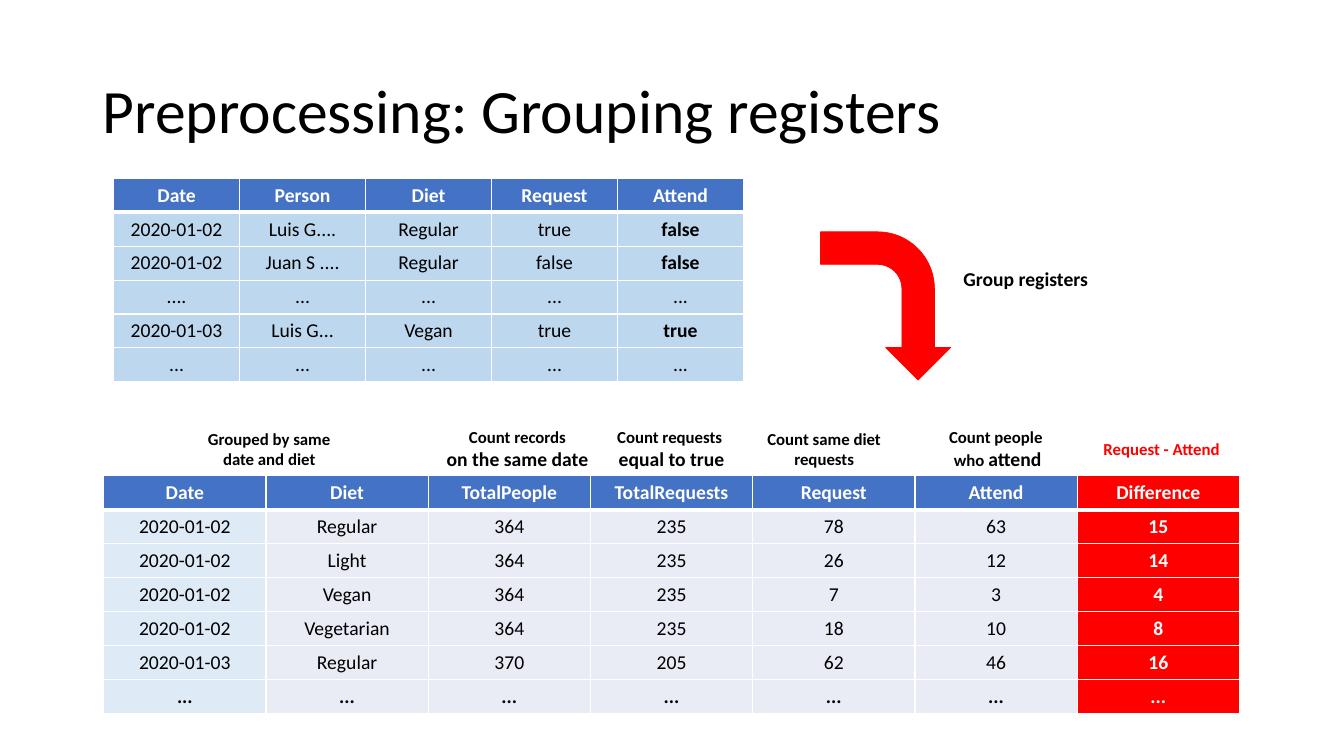
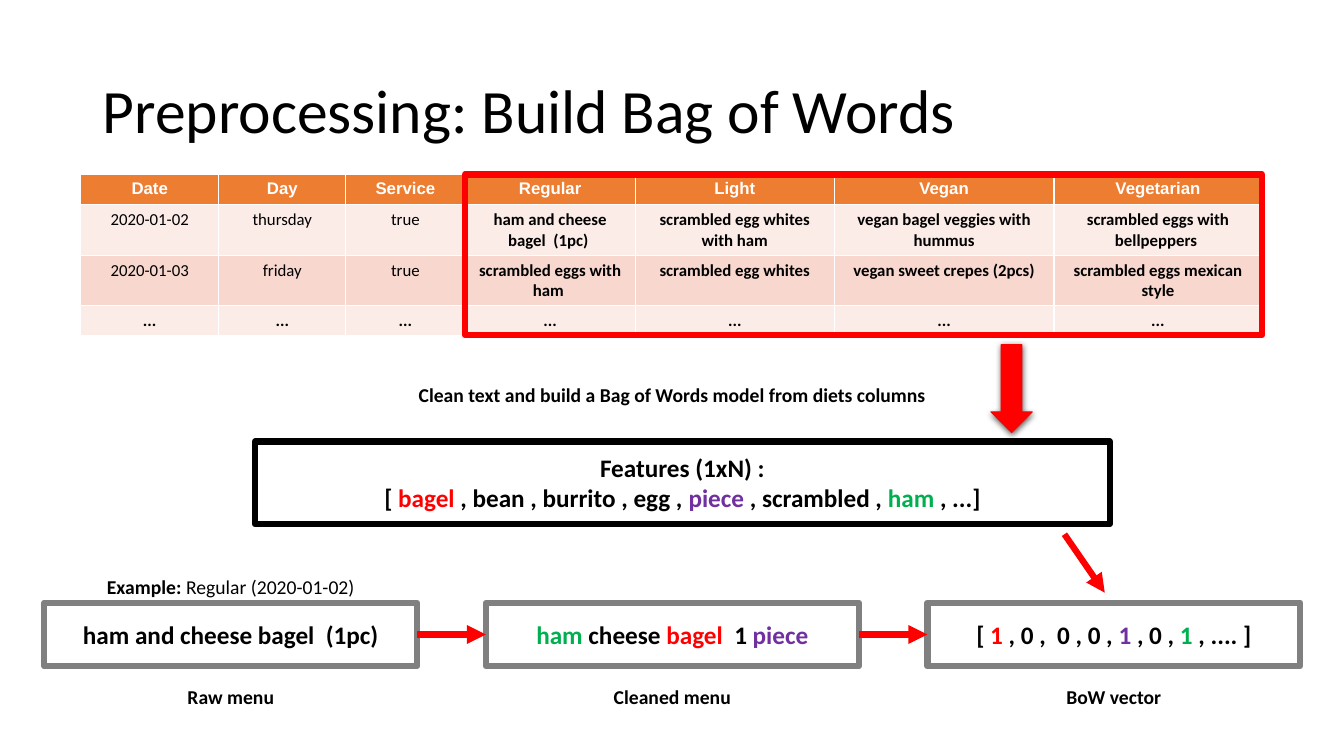
from dataclasses import dataclass

from pptx import Presentation
from pptx.dml.color import RGBColor
from pptx.enum.shapes import MSO_CONNECTOR, MSO_SHAPE
from pptx.enum.text import MSO_ANCHOR, PP_ALIGN
from pptx.oxml import parse_xml
from pptx.oxml.ns import nsdecls, qn
from pptx.util import Inches, Pt

RECT, BENT, ARROW = MSO_SHAPE.RECTANGLE, MSO_SHAPE.BENT_ARROW, MSO_SHAPE.RIGHT_ARROW
LEFT, CENTER = PP_ALIGN.LEFT, PP_ALIGN.CENTER
TOP, MIDDLE = MSO_ANCHOR.TOP, MSO_ANCHOR.MIDDLE
STRAIGHT = MSO_CONNECTOR.STRAIGHT


@dataclass(frozen=True)
class Theme:
    font: str = "Calibri"
    alt: str = "Arial"
    black: str = "000000"
    white: str = "FFFFFF"
    red: str = "FF0000"
    green: str = "00B050"
    purple: str = "7030A0"
    gray: str = "808080"
    blue: str = "4472C4"
    sky: str = "BDD7EE"
    ice: str = "DEEBF7"
    mist: str = "E9EBF5"
    orange: str = "ED7D31"
    blush: str = "FCECE8"
    peach: str = "F8D7CE"
    title: int = 44
    big: int = 18
    body: int = 14
    small: int = 12
    thick: float = 4.5


T = Theme()


@dataclass(frozen=True)
class Box:
    x: float
    y: float
    w: float
    h: float

    def area(self, x, y, w, h):
        return Box(self.x + self.w * x / 100, self.y + self.h * y / 100,
                   self.w * w / 100, self.h * h / 100)

    def cols(self, count, gap):
        wide = (100 - gap * (count - 1)) / count
        return [self.area(i * (wide + gap), 0, wide, 100) for i in range(count)]

    def emu(self):
        return [Inches(v) for v in (self.x, self.y, self.w, self.h)]


PAGE = Box(0, 0, 13.33, 7.5)


def rgb(code):
    return RGBColor.from_string(code)


def style(font, size=None, color=None, bold=None, name=None):
    if size:
        font.size = Pt(size)
    if color:
        font.color.rgb = rgb(color)
    if bold is not None:
        font.bold = bold
    if name:
        font.name = name


def write(frame, lines, size, color=T.black, bold=True, name=T.font, align=CENTER):
    for i, line in enumerate(lines):
        para = frame.add_paragraph() if i else frame.paragraphs[0]
        para.alignment = align
        style(para.font, size, color, bold, name)
        for piece in [(line, {})] if isinstance(line, str) else line:
            run = para.add_run()
            run.text = piece[0]
            style(run.font, **piece[1])


def tint(text, color):
    return text, {"color": color}


def label(slide, box, lines, size=T.body, anchor=TOP, wrap=True, **look):
    frame = slide.shapes.add_textbox(*box.emu()).text_frame
    frame.word_wrap = wrap
    frame.vertical_anchor = anchor
    write(frame, lines, size, **look)
    return frame


def title(slide, text):
    frame = label(slide, PAGE.area(6.9, 5.33, 86.25, 19.33), [text], T.title,
                  MIDDLE, bold=False, align=LEFT)
    frame.paragraphs[0].line_spacing = 0.9


def shape(slide, kind, box, line, width, fill=None, turn=0):
    item = slide.shapes.add_shape(kind, *box.emu())
    item.shadow.inherit = False
    item.rotation = turn
    if fill:
        item.fill.solid()
        item.fill.fore_color.rgb = rgb(fill)
    else:
        item.fill.background()
    item.line.color.rgb = rgb(line)
    item.line.width = Pt(width)
    return item


def panel(slide, box, line, lines):
    item = shape(slide, RECT, box, line, T.thick)
    item.text_frame.word_wrap = True
    item.text_frame.vertical_anchor = MIDDLE
    write(item.text_frame, lines, T.big)
    return item


def arrow(slide, start=(0, 0), end=(0, 0)):
    item = slide.shapes.add_connector(STRAIGHT, *[Inches(v) for v in (*start, *end)])
    item.line.color.rgb = rgb(T.red)
    item.line.width = Pt(T.thick)
    props = item._element.spPr
    props.find(qn("a:ln")).append(parse_xml(f'<a:tailEnd {nsdecls("a")} type="triangle"/>'))
    props.append(parse_xml(f'<a:effectLst {nsdecls("a")}/>'))
    return item


def edge(cell, side, width):
    cell._tc.get_or_add_tcPr().append(parse_xml(
        f'<a:ln{side} {nsdecls("a")} w="{Pt(width)}"><a:solidFill>'
        f'<a:srgbClr val="{T.white}"/></a:solidFill></a:ln{side}>'))


def grid(slide, box, rows, look, size, widths=None, heights=None, rule=1):
    widths = widths or [1] * len(rows[0])
    heights = heights or [1] * len(rows)
    table = slide.shapes.add_table(len(rows), len(widths), *box.emu()).table
    for col, share in zip(table.columns, widths):
        col.width = Inches(box.w * share / sum(widths))
    for row, share in zip(table.rows, heights):
        row.height = Inches(box.h * share / sum(heights))
    for r, row in enumerate(rows):
        for c, text in enumerate(row):
            cell = table.cell(r, c)
            for side, width in (("L", 1), ("R", 1), ("T", rule if r == 1 else 1),
                                ("B", rule if r == 0 else 1)):
                edge(cell, side, width)
            fill, font = look(r, c, text)
            cell.fill.solid()
            cell.fill.fore_color.rgb = rgb(fill)
            write(cell.text_frame, [text], size, **font)


def split(text):
    return [line.split("|") for line in text.strip().splitlines()]


RAW = split("""
Date|Person|Diet|Request|Attend
2020-01-02|Luis G....|Regular|true|false
2020-01-02|Juan S ....|Regular|false|false
....|...|...|...|...
2020-01-03|Luis G...|Vegan|true|true
...|...|...|...|...
""")

TOTALS = split("""
Date|Diet|TotalPeople|TotalRequests|Request|Attend|Difference
2020-01-02|Regular|364|235|78|63|15
2020-01-02|Light|364|235|26|12|14
2020-01-02|Vegan|364|235|7|3|4
2020-01-02|Vegetarian|364|235|18|10|8
2020-01-03|Regular|370|205|62|46|16
...|...|...|...|...|...|...
""")

MENUS = split("""
Date|Day|Service|Regular|Light|Vegan|Vegetarian
2020-01-02|thursday|true|ham and cheese bagel  (1pc) |scrambled egg whites with ham|vegan bagel veggies with hummus|scrambled eggs with bellpeppers 
2020-01-03|friday|true|scrambled eggs with ham |scrambled egg whites|vegan sweet crepes (2pcs)|scrambled eggs mexican style
...|...|...|...|...|...|...
""")

LARGE = {"size": T.body}
HEADS = [
    (1.02, ["Grouped by same", "date and diet"], T.black),
    (2.55, ["Count records", [("on the same date", LARGE)]], T.black),
    (3.5, ["Count requests ", [("equal to true", LARGE)]], T.black),
    (4.44, ["Count same diet", "requests"], T.black),
    (5.51, ["Count people ", [("who ", {}), ("attend", LARGE)]], T.black),
    (6.52, ["Request - Attend"], T.red),
]

STEPS = [
    ("Raw menu", ["ham and cheese bagel  (1pc)"]),
    ("Cleaned menu", [[tint("ham ", T.green), ("cheese ", {}), tint("bagel  ", T.red),
                       ("1 ", {}), tint("piece", T.purple)]]),
    ("BoW vector", [[("[ ", {}), tint("1", T.red), (" , 0 ,  0 , 0 , ", {}),
                     tint("1", T.purple), (" , 0 , ", {}), tint("1", T.green),
                     (" , .... ]", {})]]),
]

WORDS = ["Features (1xN) :",
         [("[ ", {}), tint("bagel ", T.red), (", bean , burrito , egg , ", {}),
          tint("piece ", T.purple), (", scrambled , ", {}), tint("ham ", T.green),
          (", ...]", {})]]


def raw_look(r, c, text):
    if r == 0:
        return T.blue, {"color": T.white}
    return T.sky, {"bold": c == 4 and text != "..."}


def total_look(r, c, text):
    if c == 6:
        return T.red, {"color": T.white}
    if r == 0:
        return T.blue, {"color": T.white}
    return (T.mist if c else T.ice), {"bold": text == "..."}


def menu_look(r, c, text):
    if r == 0:
        return T.orange, {"color": T.white, "name": T.alt}
    return (T.blush if r % 2 else T.peach), {"bold": c > 2 or text == "..."}


def totals(slide, box):
    count = len(TOTALS[0])
    grid(slide, box.area(0, 18.6, 100, 81.4), TOTALS, total_look, T.body, rule=3)
    for mid, lines, color in HEADS:
        spot = box.area((mid - 0.6) * 100 / count, 0, 120 / count, 18.6)
        label(slide, spot, lines, T.small, MIDDLE, False, color=color)


def menus(slide, box):
    widths = [1.37, 1.26, 1.18, 1.69, 1.97, 2.18, 2.06]
    grid(slide, box, MENUS, menu_look, T.small, widths, [3, 5, 5, 3])
    lead = 100 * sum(widths[:3]) / sum(widths)
    return box.area(lead, 0, 100 - lead, 99.5)


def flow(slide, box):
    last = None
    cols = box.cols(3, 5.46)
    for col, (name, lines) in zip(cols, STEPS):
        item = panel(slide, col.area(0, 22.92, 100, 43.75), T.gray, lines)
        label(slide, col.area(0, 76.39, 100, 23.6), [name])
        if last:
            link = arrow(slide)
            link.begin_connect(last, 3)
            link.end_connect(item, 1)
        last = item
    label(slide, cols[0].area(0, 0, 100, 23.6),
          [[("Example: ", {}), ("Regular (2020-01-02)", {"bold": False})]])


def drop(slide, box):
    item = shape(slide, ARROW, box, T.red, 0.75, T.red, 90)
    item._element.spPr.find(qn("a:effectLst")).append(parse_xml(
        f'<a:outerShdw {nsdecls("a")} blurRad="{Pt(4.5)}" dist="{Pt(1.5)}" dir="5400000" '
        f'rotWithShape="0"><a:srgbClr val="{T.black}"><a:alpha val="63000"/>'
        '</a:srgbClr></a:outerShdw>'))


def groups(slide):
    title(slide, "Preprocessing: Grouping registers")
    grid(slide, PAGE.area(8.45, 23.6, 46.88, 26.9), RAW, raw_look, T.body, rule=3)
    totals(slide, PAGE.area(7.72, 55.73, 84.5, 38.7))
    shape(slide, BENT, PAGE.area(60.38, 31.87, 11.03, 17.2), T.red, 0.5, T.red, 90)
    label(slide, PAGE.area(70.13, 34.67, 12.38, 4.53), ["Group registers"], wrap=False)


def bag(slide):
    drop(slide, PAGE.area(72, 48.67, 6.53, 5.47))
    title(slide, "Preprocessing: Build Bag of Words")
    diets = menus(slide, PAGE.area(6, 23.07, 87.9, 21.4))
    shape(slide, RECT, diets, T.red, T.thick)
    label(slide, PAGE.area(27.53, 50, 45, 4.53),
          ["Clean text and build a Bag of Words model from diets columns"], wrap=False)
    panel(slide, PAGE.area(18.98, 58.4, 63.6, 10.93), T.black, WORDS)
    flow(slide, PAGE.area(3.3, 75.33, 93.45, 19.2))
    slant = PAGE.area(79.2, 70.67, 3, 7.73)
    arrow(slide, (slant.x, slant.y), (slant.x + slant.w, slant.y + slant.h))


def main():
    deck = Presentation()
    deck.slide_width, deck.slide_height = Inches(PAGE.w), Inches(PAGE.h)
    for build in (groups, bag):
        build(deck.slides.add_slide(deck.slide_layouts[6]))
    deck.save("out.pptx")


if __name__ == "__main__":
    main()
